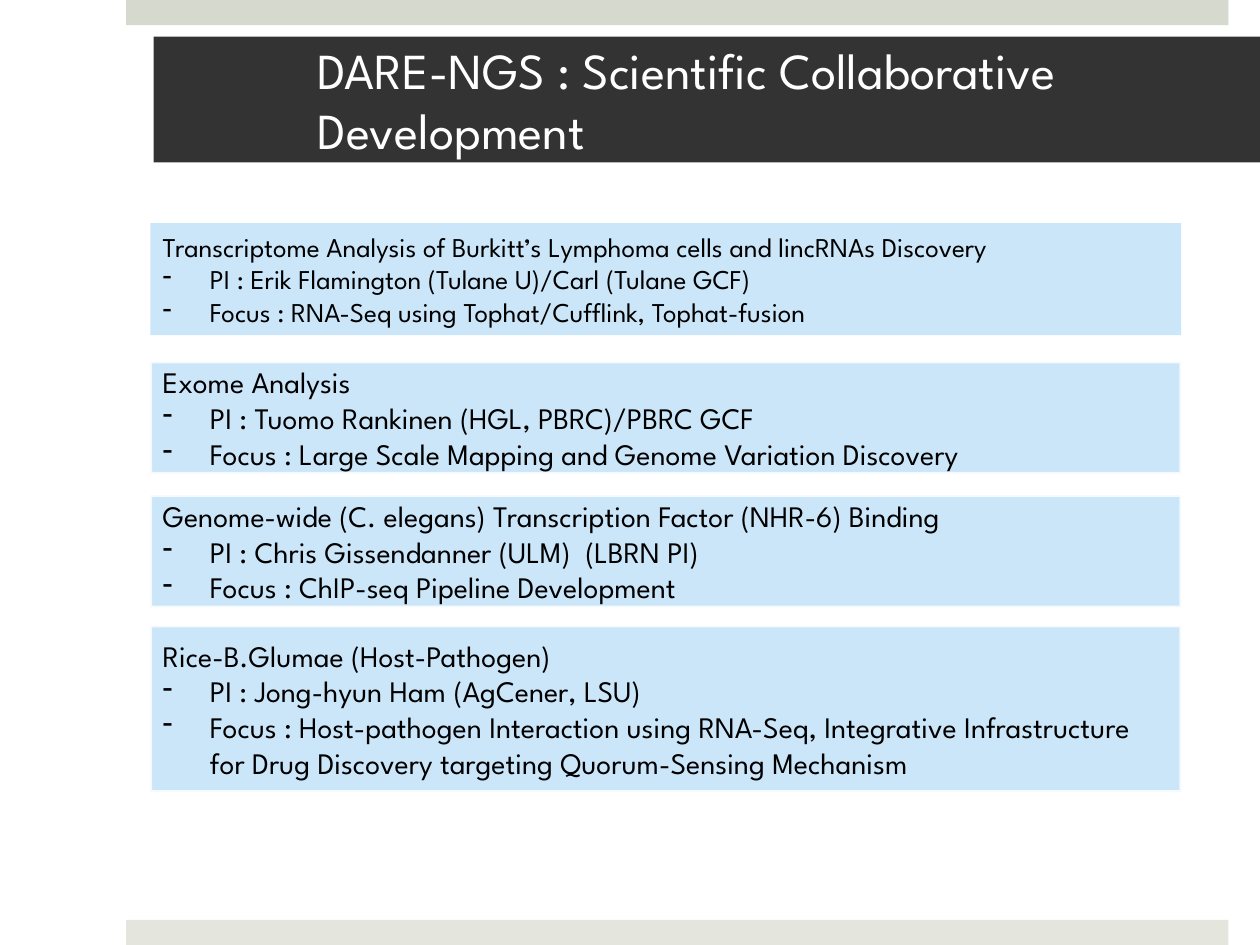
"""Builds the DARE-NGS scientific collaborative development slide."""
from dataclasses import dataclass

from lxml.etree import SubElement
from pptx import Presentation
from pptx.dml.color import RGBColor as Color
from pptx.enum.shapes import MSO_SHAPE as Shape
from pptx.enum.text import MSO_ANCHOR as Anchor, PP_ALIGN as Align
from pptx.oxml.ns import qn
from pptx.util import Pt


@dataclass(frozen=True)
class Theme:
    font: str = "League Spartan"
    top_band: str = "D6D9CD"
    bottom_band: str = "E4E6DE"
    banner: str = "333333"
    card: str = "CBE6F9"
    light: str = "FFFFFF"
    dark: str = "000000"
    title_size: float = 28.8
    body_size: float = 17
    small_size: float = 15.5


theme = Theme()


def add_block(left, top, width, height, fill):
    box = page.shapes.add_shape(Shape.RECTANGLE, Pt(left), Pt(top), Pt(width), Pt(height))
    box.shadow.inherit = False
    box.fill.solid()
    box.fill.fore_color.rgb = Color.from_string(fill)
    box.line.fill.background()
    return box


def add_text(para, text, size, color):
    para.alignment = Align.LEFT
    span = para.add_run()
    span.text = text
    span.font.name = theme.font
    span.font.size = Pt(size)
    span.font.color.rgb = Color.from_string(color)


deck = Presentation()
deck.slide_width, deck.slide_height = Pt(720), Pt(540)
page = deck.slides.add_slide(deck.slide_layouts[6])

for top, fill in ((0, theme.top_band), (525.6, theme.bottom_band)):
    add_block(72, top, 630, 14.4, fill)

banner = add_block(87.84, 20.88, 632.16, 72, theme.banner)
frame = banner.text_frame
frame.word_wrap = True
frame.vertical_anchor = Anchor.MIDDLE
frame.margin_left, frame.margin_right = Pt(93.6), Pt(21.6)
add_text(frame.paragraphs[0], "DARE-NGS : Scientific Collaborative Development",
         theme.title_size, theme.light)

projects = [
    (127.44, 64.08, theme.small_size, False,
     "Transcriptome Analysis of Burkitt’s Lymphoma cells and lincRNAs Discovery",
     "PI : Erik Flamington (Tulane U)/Carl (Tulane GCF)",
     "Focus : RNA-Seq using Tophat/Cufflink, Tophat-fusion"),
    (206.64, 64.08, theme.body_size, True,
     "Exome Analysis",
     "PI : Tuomo Rankinen (HGL, PBRC)/PBRC GCF",
     "Focus : Large Scale Mapping and Genome Variation Discovery"),
    (282.96, 64.08, theme.body_size, True,
     "Genome-wide (C. elegans) Transcription Factor (NHR-6) Binding",
     "PI : Chris Gissendanner (ULM)  (LBRN PI)",
     "Focus : ChIP-seq Pipeline Development"),
    (357.48, 95.04, theme.body_size, True,
     "Rice-B.Glumae (Host-Pathogen)",
     "PI : Jong-hyun Ham (AgCener, LSU)",
     "Focus : Host-pathogen Interaction using RNA-Seq, Integrative Infrastructure "
     "for Drug Discovery targeting Quorum-Sensing Mechanism"),
]

for top, height, size, outlined, heading, *details in projects:
    card = add_block(85.9, top, 589, height, theme.card)
    if outlined:
        card.line.color.rgb = Color.from_string(theme.light)
        card.line.width = Pt(2)
        tint = card.line.fill.fore_color
        color_element = next(card.line._ln.iter(qn("a:srgbClr")))
        SubElement(color_element, qn("a:alpha"), val="80000")
    frame = card.text_frame
    frame.word_wrap = True
    frame.vertical_anchor = Anchor.MIDDLE
    add_text(frame.paragraphs[0], heading, size, theme.dark)
    for detail in details:
        para = frame.add_paragraph()
        properties = para._p.get_or_add_pPr()
        properties.set("marL", str(Pt(27)))
        properties.set("indent", str(Pt(-27)))
        SubElement(properties, qn("a:buChar"), char="-")
        add_text(para, detail, size, theme.dark)

deck.save("out.pptx")
